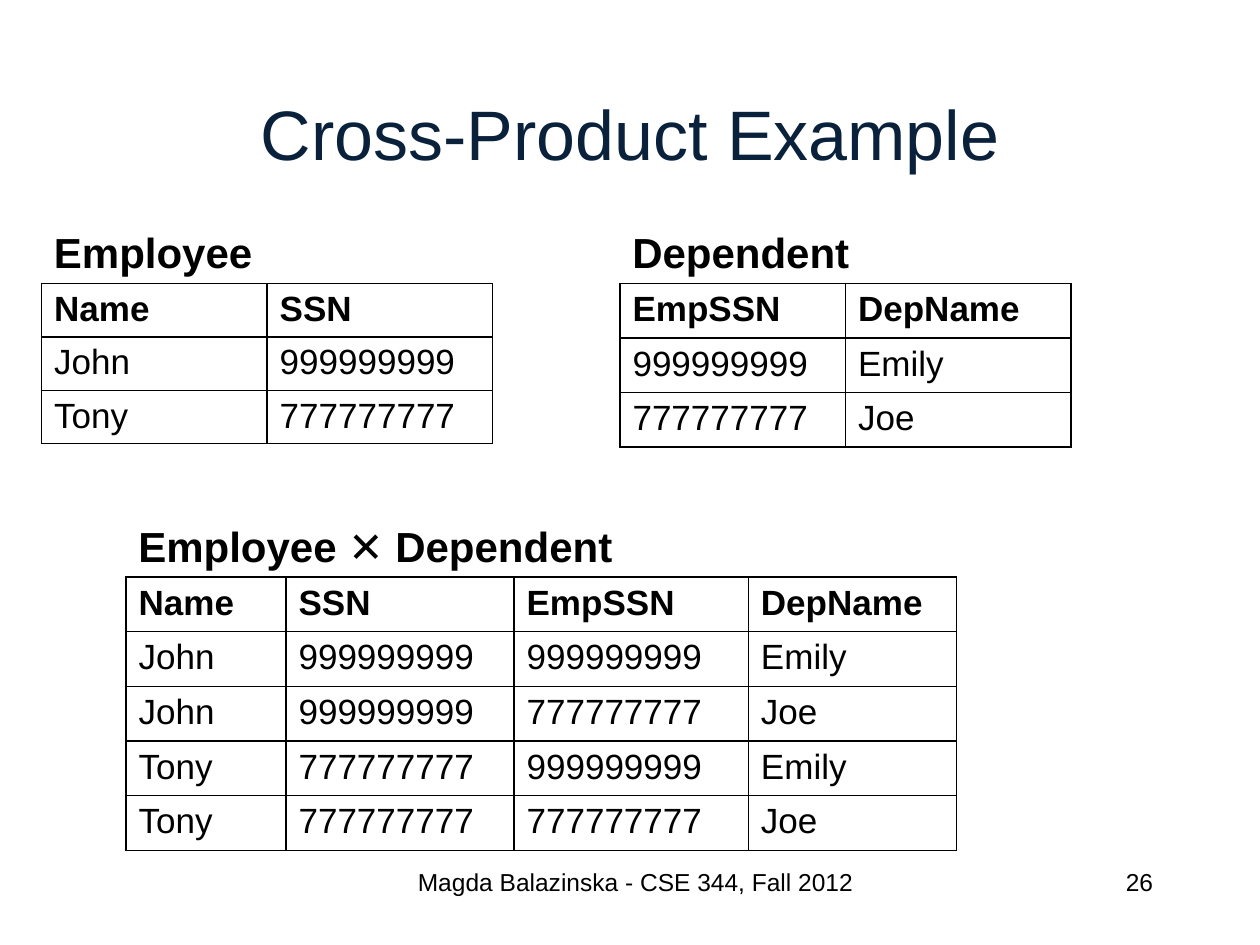
from itertools import product
from lxml.etree import SubElement
from pptx import Presentation
from pptx.dml.color import RGBColor
from pptx.enum.text import MSO_ANCHOR, PP_ALIGN
from pptx.oxml.ns import qn
from pptx.util import Inches, Pt

COLORS = {"ink": "000000", "title": "09213B"}
FONT = "Arial"


def style(para, size, color="ink", bold=False, align=PP_ALIGN.LEFT):
    para.alignment = align
    font = para.font
    font.name, font.size, font.bold = FONT, Pt(size), bold
    font.color.rgb = RGBColor.from_string(COLORS[color])


def add_text(slide, box, text, size, wrap=True, **look):
    shape = slide.shapes.add_textbox(*map(Inches, box))
    frame = shape.text_frame
    frame.word_wrap = wrap
    frame.text = text
    style(frame.paragraphs[0], size, **look)


def add_title(slide, box, text):
    title = slide.shapes.title
    title.left, title.top, title.width, title.height = map(Inches, box)
    frame = title.text_frame
    frame.text = text
    frame.vertical_anchor = MSO_ANCHOR.TOP
    style(frame.paragraphs[0], 40, "title", align=PP_ALIGN.CENTER)


def add_border(cell):
    props = cell._tc.get_or_add_tcPr()
    for side in ("a:lnL", "a:lnR", "a:lnT", "a:lnB"):
        line = SubElement(props, qn(side), w=str(Pt(1)))
        fill = SubElement(line, qn("a:solidFill"))
        SubElement(fill, qn("a:srgbClr"), val=COLORS["ink"])


def fill_cell(cell, text, bold):
    cell.text = text
    cell.margin_top, cell.margin_bottom = Inches(0.05), Inches(0.04)
    style(cell.text_frame.paragraphs[0], 20, bold=bold)
    add_border(cell)
    cell.fill.background()


def add_relation(slide, box, name, label, widths, rows):
    left, top, height = box
    add_text(slide, (left, top, label, 0.5), name, 24, wrap=False, bold=True)
    frame = slide.shapes.add_table(
        len(rows), len(widths), Inches(left), Inches(top + 0.5),
        Inches(sum(widths)), Inches(height))
    table = frame.table
    table.first_row = table.horz_banding = False
    for column, width in zip(table.columns, widths):
        column.width = Inches(width)
    for i, row in enumerate(rows):
        table.rows[i].height = Inches(height / len(rows))
        for j, text in enumerate(row):
            fill_cell(table.cell(i, j), text, bold=i == 0)


def add_footer(slide, top):
    add_text(slide, (3.17, top, 3.75, 0.5),
             "Magda Balazinska - CSE 344, Fall 2012", 14,
             align=PP_ALIGN.CENTER)
    add_text(slide, (7.17, top, 2.08, 0.5), "26", 14, align=PP_ALIGN.RIGHT)


def main():
    deck = Presentation()
    deck.slide_width, deck.slide_height = Inches(10), Inches(7.5)
    slide = deck.slides.add_slide(deck.slide_layouts[5])
    staff = [("Name", "SSN"), ("John", "999999999"), ("Tony", "777777777")]
    kin = [("EmpSSN", "DepName"), ("999999999", "Emily"),
           ("777777777", "Joe")]
    cross = [staff[0] + kin[0]]
    cross += [a + b for a, b in product(staff[1:], kin[1:])]

    add_title(slide, (0.75, 0.67, 8.5, 1.25), "Cross-Product Example")
    add_relation(slide, (0.33, 1.75, 1.23), "Employee", 1.79,
                 [1.79] * 2, staff)
    add_relation(slide, (4.92, 1.75, 1.3), "Dependent", 1.94,
                 [1.79] * 2, kin)
    add_relation(slide, (1, 4.08, 2.17), "Employee ✕ Dependent", 3.97,
                 [1.27, 1.81, 1.86, 1.65], cross)
    add_footer(slide, 6.83)
    deck.save("out.pptx")


if __name__ == "__main__":
    main()
